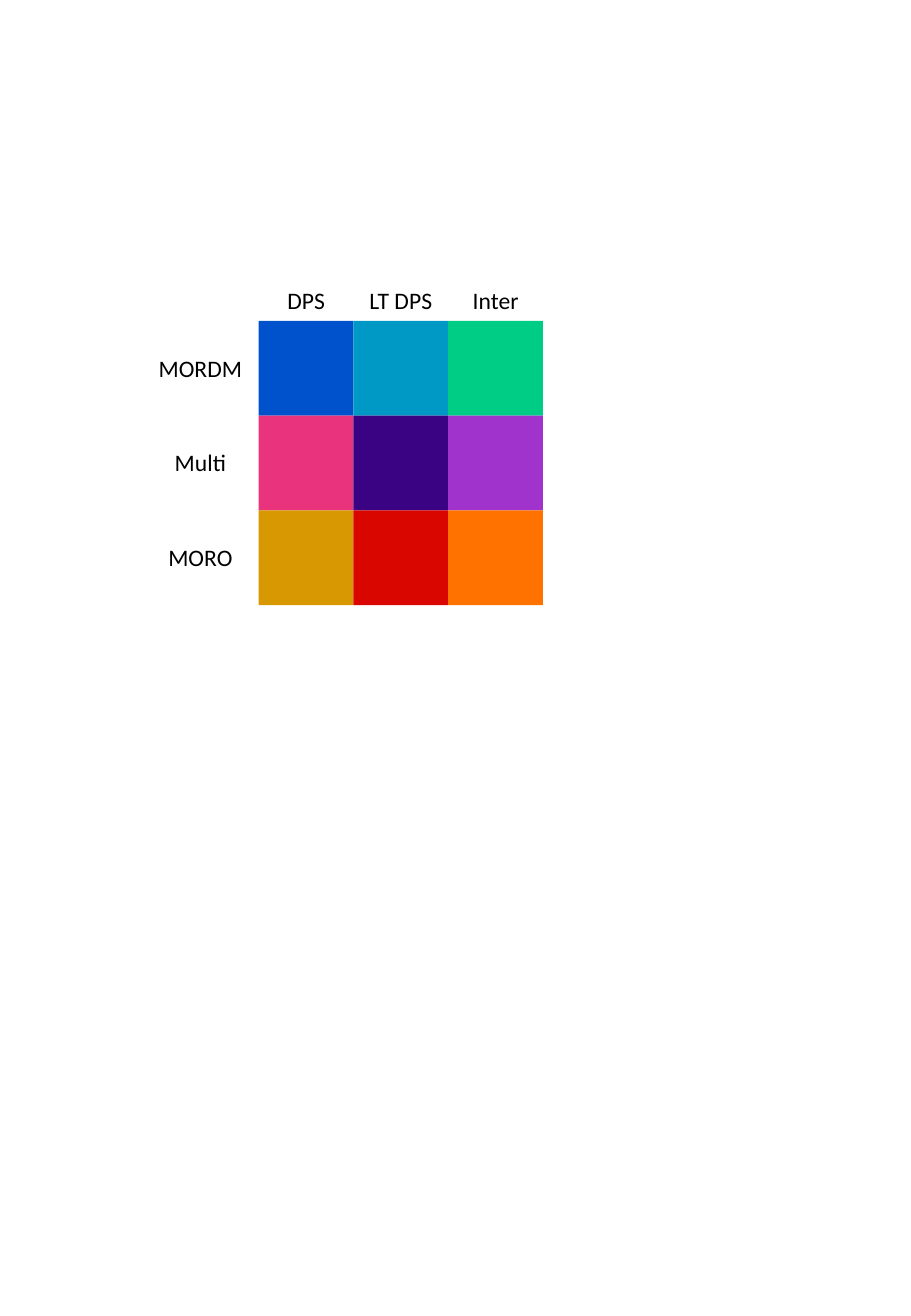
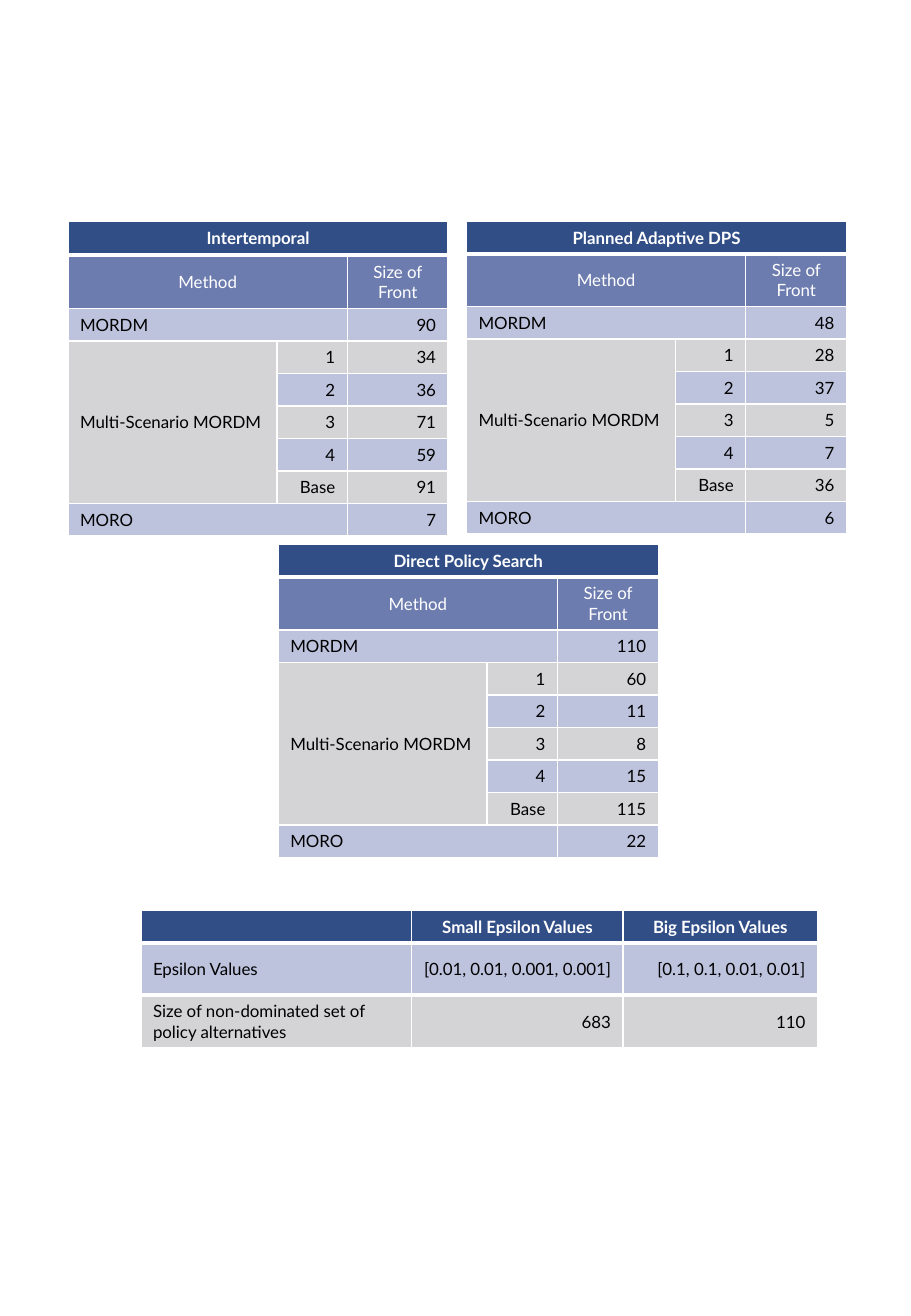
"""Build a colour key of methods and four result tables."""
from dataclasses import dataclass

from lxml.etree import SubElement
from pptx import Presentation
from pptx.dml.color import RGBColor
from pptx.enum.shapes import MSO_SHAPE as Shape
from pptx.enum.text import MSO_ANCHOR as Anchor, MSO_AUTO_SIZE as Fit, PP_ALIGN as Align
from pptx.oxml.ns import qn
from pptx.slide import Slide
from pptx.table import _Cell as Cell
from pptx.text.text import TextFrame as Frame
from pptx.util import Inches, Pt

WHITE, BLACK = "FFFFFF", "000000"
NAVY, SLATE, BLUE, GREY = "314E87", "6D7CAF", "BDC2DD", "D4D4D7"

SIDE, LEFT, TOP = 0.78, 2.13, 2.64
TAG_W, TAG_H = 0.96, 0.34
POLICIES = ["DPS", "LT DPS", "Inter"]
METHODS = {
    "MORDM": ["0052CC", "0099C6", "00CD85"],
    "Multi": ["EA337D", "3A0384", "A033CC"],
    "MORO": ["D89801", "D90600", "FF7200"],
}


@dataclass
class Grid:
    """A table: place, sizes, rows of text, row fills, merges and thick rules."""
    left: float
    top: float
    cols: list[float]
    heights: list[float]
    rows: list[list[str]]
    fills: list[str]
    heads: int
    thick: list[int]
    spans: list[tuple[int, int, int, int]]


@dataclass
class Front:
    """The front sizes of one policy type."""
    name: str
    left: float
    top: float
    head: float
    sub: float
    height: float
    sizes: list[int]


FRONTS = [
    Front("Intertemporal", 0.56, 1.82, 0.28, 0.44, 2.58, [90, 34, 36, 71, 59, 91, 7]),
    Front("Planned Adaptive DPS", 3.84, 1.82, 0.27, 0.43, 2.57, [48, 28, 37, 5, 7, 36, 6]),
    Front("Direct Policy Search", 2.29, 4.48, 0.27, 0.43, 2.57, [110, 60, 11, 8, 15, 115, 22]),
]
LABELS = [
    ["MORDM", ""],
    ["Multi-Scenario MORDM", "1"],
    ["", "2"],
    ["", "3"],
    ["", "4"],
    ["", "Base"],
    ["MORO", ""],
]
EPSILON = Grid(
    1.16, 7.49, [2.23, 1.74, 1.6], [0.27, 0.43, 0.43],
    [
        ["", "Small Epsilon Values", "Big Epsilon Values"],
        ["Epsilon Values", "[0.01, 0.01, 0.001, 0.001]", "[0.1, 0.1, 0.01, 0.01]"],
        ["Size of non-dominated set of policy alternatives", "683", "110"],
    ],
    [NAVY, BLUE, GREY], heads=1, thick=[0, 1], spans=[],
)


def rgb(code: str) -> RGBColor:
    """Turn a hex string into a colour."""
    return RGBColor.from_string(code)


def put(frame: Frame, text: str, *, size: int, font: str, color: str = BLACK,
        bold: bool = False, align: Align = Align.CENTER) -> None:
    """Write formatted text into a frame."""
    para = frame.paragraphs[0]
    para.alignment = align
    if not text:
        SubElement(para._p, qn("a:endParaRPr"), sz=str(size * 100))
        return
    run = para.add_run()
    run.text = text
    run.font.size, run.font.name, run.font.bold = Pt(size), font, bold
    run.font.color.rgb = rgb(color)


def label(slide: Slide, text: str, left: float, top: float, width: float) -> None:
    """Add a label of the colour key."""
    box = slide.shapes.add_textbox(Inches(left), Inches(top), Inches(width), Inches(TAG_H))
    box.text_frame.word_wrap = True
    box.text_frame.auto_size = Fit.SHAPE_TO_FIT_TEXT
    put(box.text_frame, text, size=14, font="Calibri")


def square(slide: Slide, left: float, top: float, color: str) -> None:
    """Add a colour square."""
    shape = slide.shapes.add_shape(
        Shape.RECTANGLE, Inches(left), Inches(top), Inches(SIDE), Inches(SIDE))
    shape.shadow.inherit = False
    shape.fill.solid()
    shape.fill.fore_color.rgb = rgb(color)
    shape.line.fill.background()


def border(cell: Cell, top: int, bottom: int) -> None:
    """Give a cell white borders."""
    props = cell._tc.get_or_add_tcPr()
    for side, width in (("L", 1), ("R", 1), ("T", top), ("B", bottom)):
        line = SubElement(props, qn(f"a:ln{side}"), w=str(Pt(width)))
        fill = SubElement(line, qn("a:solidFill"))
        SubElement(fill, qn("a:srgbClr"), val=WHITE)


def table(slide: Slide, grid: Grid) -> None:
    """Draw a grid as a table."""
    item = slide.shapes.add_table(
        len(grid.rows), len(grid.cols), Inches(grid.left), Inches(grid.top),
        Inches(sum(grid.cols)), Inches(sum(grid.heights))).table
    item.first_row = item.horz_banding = False
    for col, width in zip(item.columns, grid.cols):
        col.width = Inches(width)
    for row, height in zip(item.rows, grid.heights):
        row.height = Inches(height)
    for r, texts in enumerate(grid.rows):
        head = r < grid.heads
        for c, text in enumerate(texts):
            cell = item.cell(r, c)
            border(cell, 3 if r - 1 in grid.thick else 1, 3 if r in grid.thick else 1)
            cell.fill.solid()
            cell.fill.fore_color.rgb = rgb(grid.fills[r])
            cell.vertical_anchor = Anchor.MIDDLE
            align = Align.CENTER if head else Align.RIGHT if c else Align.LEFT
            put(cell.text_frame, text, size=10, font="Lato", bold=r == 0,
                color=WHITE if head else BLACK, align=align)
    for r, c, end, last in grid.spans:
        item.cell(r, c).merge(item.cell(end, last))


def layout(front: Front) -> Grid:
    """Lay out the front sizes as a grid."""
    count = len(front.sizes)
    step = (front.height - front.head - front.sub) / count
    body = [[*names, str(size)] for names, size in zip(LABELS, front.sizes)]
    return Grid(
        front.left, front.top, [1.72, 0.58, 0.83],
        [front.head, front.sub] + [step] * count,
        [[front.name, "", ""], ["Method", "", "Size of Front"], *body],
        [NAVY, SLATE] + [GREY if i % 2 else BLUE for i in range(count)],
        heads=2, thick=[0],
        spans=[(0, 0, 0, 2), (1, 0, 1, 1), (2, 0, 2, 1), (3, 0, 7, 0), (8, 0, 8, 1)],
    )


def key(slide: Slide) -> None:
    """Draw the colour key."""
    for c, name in enumerate(POLICIES):
        label(slide, name, LEFT + c * SIDE, TOP - TAG_H, SIDE)
    for r, (name, colors) in enumerate(METHODS.items()):
        top = TOP + r * SIDE
        label(slide, name, LEFT - TAG_W, top + (SIDE - TAG_H) / 2, TAG_W)
        for c, color in enumerate(colors):
            square(slide, LEFT + c * SIDE, top, color)


def main() -> None:
    """Build and save the slides."""
    deck = Presentation()
    deck.slide_width, deck.slide_height = Inches(7.5), Inches(10.83)
    blank = deck.slide_layouts[6]
    key(deck.slides.add_slide(blank))
    results = deck.slides.add_slide(blank)
    for grid in [*map(layout, FRONTS), EPSILON]:
        table(results, grid)
    deck.save("out.pptx")


if __name__ == "__main__":
    main()
